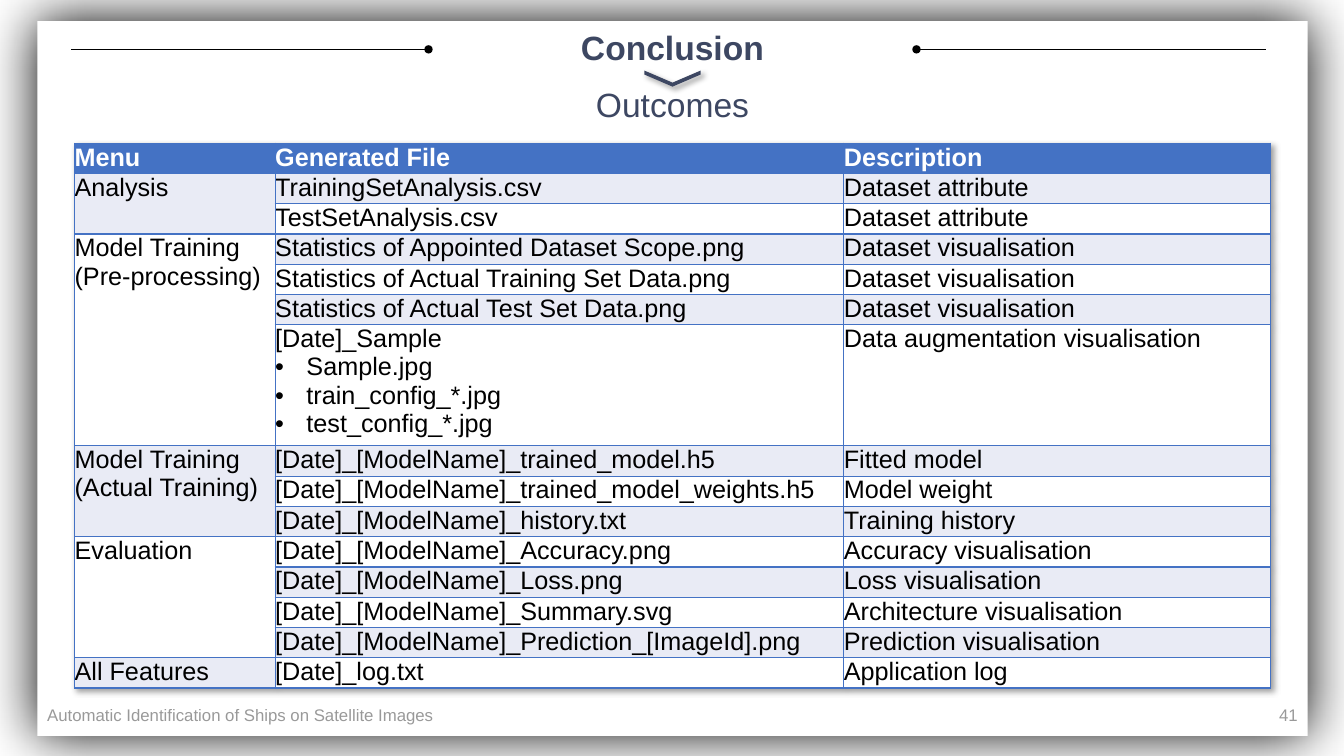
"""Build the Conclusion slide: a table of the files each menu generates."""
from lxml.etree import SubElement
from pptx import Presentation
from pptx.dml.color import RGBColor
from pptx.enum.shapes import MSO_CONNECTOR as Link, MSO_SHAPE as Kind
from pptx.enum.text import MSO_ANCHOR as Anchor, PP_ALIGN as Align
from pptx.oxml.ns import qn
from pptx.util import Inches, Pt

NAVY, BLUE, BAND, WHITE, BLACK = "3D4762", "4472C4", "E9EBF5", "FFFFFF", "000000"
HEADS = ["Menu", "Generated File", "Description"]
SET, VIEW = "Dataset attribute", "Dataset visualisation"
MODEL = "[Date]_[ModelName]_"
GROUPS = [
    (["Analysis"], [
        (["TrainingSetAnalysis.csv"], SET),
        (["TestSetAnalysis.csv"], SET)]),
    (["Model Training", "(Pre-processing)"], [
        (["Statistics of Appointed Dataset Scope.png"], VIEW),
        (["Statistics of Actual Training Set Data.png"], VIEW),
        (["Statistics of Actual Test Set Data.png"], VIEW),
        (["[Date]_Sample", "Sample.jpg", "train_config_*.jpg", "test_config_*.jpg"],
         "Data augmentation visualisation")]),
    (["Model Training", "(Actual Training)"], [
        ([MODEL + "trained_model.h5"], "Fitted model"),
        ([MODEL + "trained_model_weights.h5"], "Model weight"),
        ([MODEL + "history.txt"], "Training history")]),
    (["Evaluation"], [
        ([MODEL + "Accuracy.png"], "Accuracy visualisation"),
        ([MODEL + "Loss.png"], "Loss visualisation"),
        ([MODEL + "Summary.svg"], "Architecture visualisation"),
        ([MODEL + "Prediction_[ImageId].png"], "Prediction visualisation")]),
    (["All Features"], [(["[Date]_log.txt"], "Application log")]),
]
WIDTHS, LINE = [1.99, 5.64, 4.23], 0.28
TITLE = dict(size=Pt(24), color=NAVY)
FOOT = dict(size=Pt(12), color=BLACK)
TEXTS = [
    ("Conclusion", (4.25, 0.28, 4.84, 0.42), Align.CENTER, dict(TITLE, bold=True), 0.9, None),
    ("Outcomes", (4.25, 0.85, 4.84, 0.42), Align.CENTER, TITLE, 0.9, None),
    ("Automatic Identification of Ships on Satellite Images",
     (0.37, 6.89, 4.5, 0.4), Align.LEFT, FOOT, 1.0, 40),
    ("41", (9.97, 6.89, 3, 0.4), Align.RIGHT, FOOT, 1.0, 40),
]
SHAPES = [
    (Kind.RECTANGLE, (0.37, 0.21, 12.6, 7.09), WHITE, 0, None, (99, 40, 0, 0)),
    (Kind.CHEVRON, (6.59, 0.5, 0.16, 0.56), NAVY, 90, 0.752, (40, 4, 3, 45)),
]
RULES = [(4.25, 0.7), (9.09, 12.56)]


def rgb(code):
    return RGBColor.from_string(code)


def box(place):
    return [Inches(v) for v in place]


def sub(node, tag, **attrs):
    return SubElement(node, qn(tag), {k: str(v) for k, v in attrs.items()})


def shade(effects, alpha, blur, dist, angle):
    cast = sub(effects, "a:outerShdw", blurRad=Pt(blur), dist=Pt(dist),
               dir=angle * 60000, algn="ctr", rotWithShape=0)
    sub(sub(cast, "a:srgbClr", val=BLACK), "a:alpha", val=alpha * 1000)


def style(font, color, **form):
    font.name = "Arial"
    font.color.rgb = rgb(color)
    for key, value in form.items():
        setattr(font, key, value)


def write(para, text, form, align):
    para.alignment = align
    run = para.add_run()
    run.text = text
    style(run.font, **form)
    return run


def fill_cell(cell, lines, fill, form, dots=False):
    for side in ("left", "right", "top", "bottom"):
        setattr(cell, "margin_" + side, 0)
    props = cell._tc.get_or_add_tcPr()
    for tag in ("a:lnL", "a:lnR", "a:lnT", "a:lnB"):
        edge = sub(props, tag, w=Pt(1))
        sub(sub(edge, "a:solidFill"), "a:srgbClr", val=BLUE)
    cell.fill.solid()
    cell.fill.fore_color.rgb = rgb(fill)
    frame = cell.text_frame
    for i, text in enumerate(lines):
        para = frame.paragraphs[0] if i == 0 else frame.add_paragraph()
        if dots and i:
            ppr = para._p.get_or_add_pPr()
            ppr.set("marL", str(Inches(0.31)))
            ppr.set("indent", str(Inches(-0.31)))
            sub(ppr, "a:buFont", typeface="Arial")
            sub(ppr, "a:buChar", char="•")
        write(para, text, form, Align.JUSTIFY)


def add_files(slide):
    files = [row for _, rows in GROUPS for row in rows]
    sizes = [1] + [len(names) for names, _ in files]
    place = (0.74, 1.42, sum(WIDTHS), LINE * sum(sizes))
    table = slide.shapes.add_table(len(sizes), len(HEADS), *box(place)).table
    props = table._tbl.tblPr
    effects = sub(props, "a:effectLst")
    props.insert(0, effects)
    shade(effects, 40, 4, 3, 45)
    for col, width in zip(table.columns, WIDTHS):
        col.width = Inches(width)
    for row, size in zip(table.rows, sizes):
        row.height = Inches(LINE * size)
    head = dict(size=Pt(18), bold=True, color=WHITE)
    body = dict(size=Pt(18), bold=False, color=BLACK)
    for c, text in enumerate(HEADS):
        fill_cell(table.cell(0, c), [text], BLUE, head)
    r = 1
    for g, (menu, rows) in enumerate(GROUPS):
        first = r
        for names, note in rows:
            band = BAND if r % 2 else WHITE
            tint = WHITE if g % 2 else BAND
            fill_cell(table.cell(r, 0), menu if r == first else [], tint, body)
            fill_cell(table.cell(r, 1), names, band, body, dots=True)
            fill_cell(table.cell(r, 2), [note], band, body)
            r += 1
        if len(rows) > 1:
            table.cell(first, 0).merge(table.cell(r - 1, 0))


def main():
    deck = Presentation()
    deck.slide_width, deck.slide_height = Inches(13.33), Inches(7.5)
    slide = deck.slides.add_slide(deck.slide_layouts[6])
    for kind, place, fill, turn, bend, cast in SHAPES:
        shape = slide.shapes.add_shape(kind, *box(place))
        shape.shadow.inherit = False
        shape.fill.solid()
        shape.fill.fore_color.rgb = rgb(fill)
        shape.line.fill.background()
        shape.rotation = turn
        if bend:
            shape.adjustments[0] = bend
        shade(shape._element.spPr.find(qn("a:effectLst")), *cast)
    for start, end in RULES:
        rule = slide.shapes.add_connector(Link.STRAIGHT, *box((start, 0.49, end, 0.49)))
        rule.line.color.rgb = rgb(BLACK)
        rule.line.width = Pt(0.5)
        sub(rule.line._get_or_add_ln(), "a:headEnd", type="oval")
        sub(rule._element.spPr, "a:effectLst")
    for text, place, align, form, gap, alpha in TEXTS:
        frame = slide.shapes.add_textbox(*box(place)).text_frame
        frame.word_wrap = True
        frame.vertical_anchor = Anchor.MIDDLE
        para = frame.paragraphs[0]
        para.line_spacing = gap
        run = write(para, text, form, align)
        if alpha:
            sub(run._r.find(".//" + qn("a:srgbClr")), "a:alpha", val=alpha * 1000)
    add_files(slide)
    deck.save("out.pptx")


if __name__ == "__main__":
    main()
